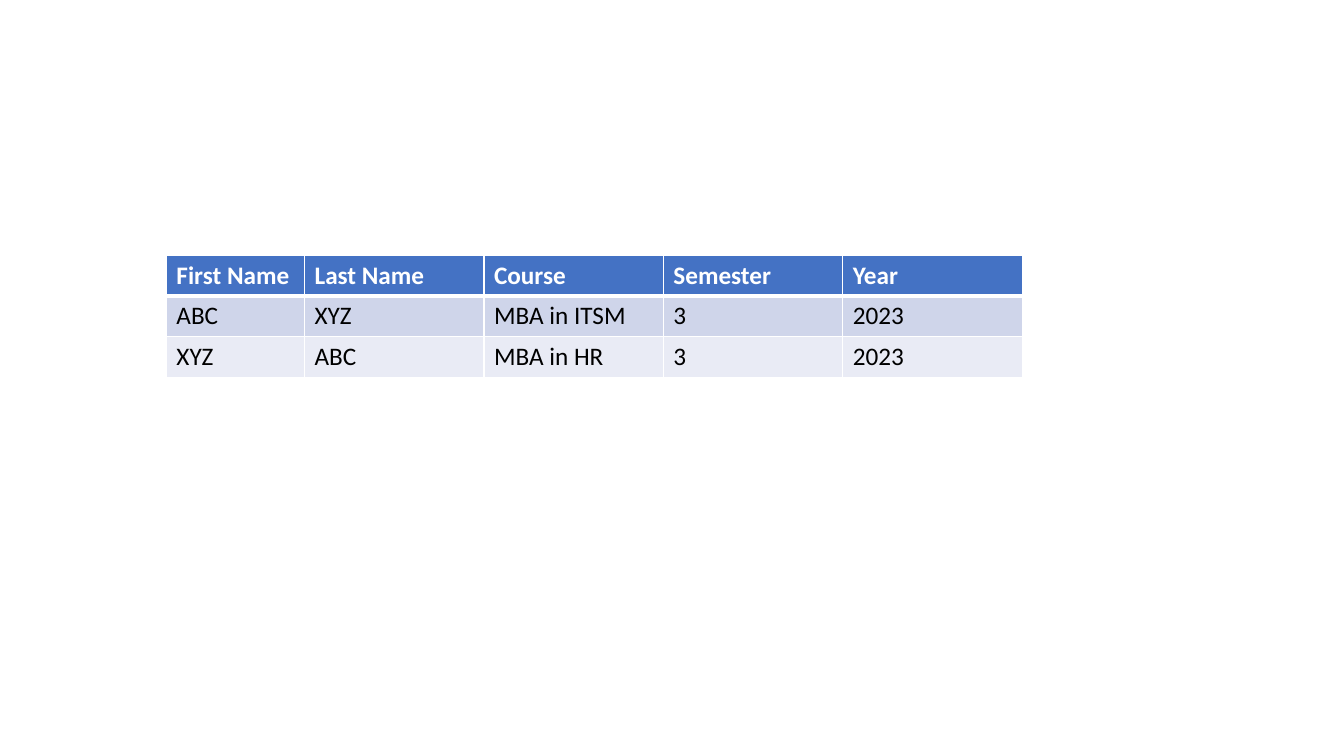
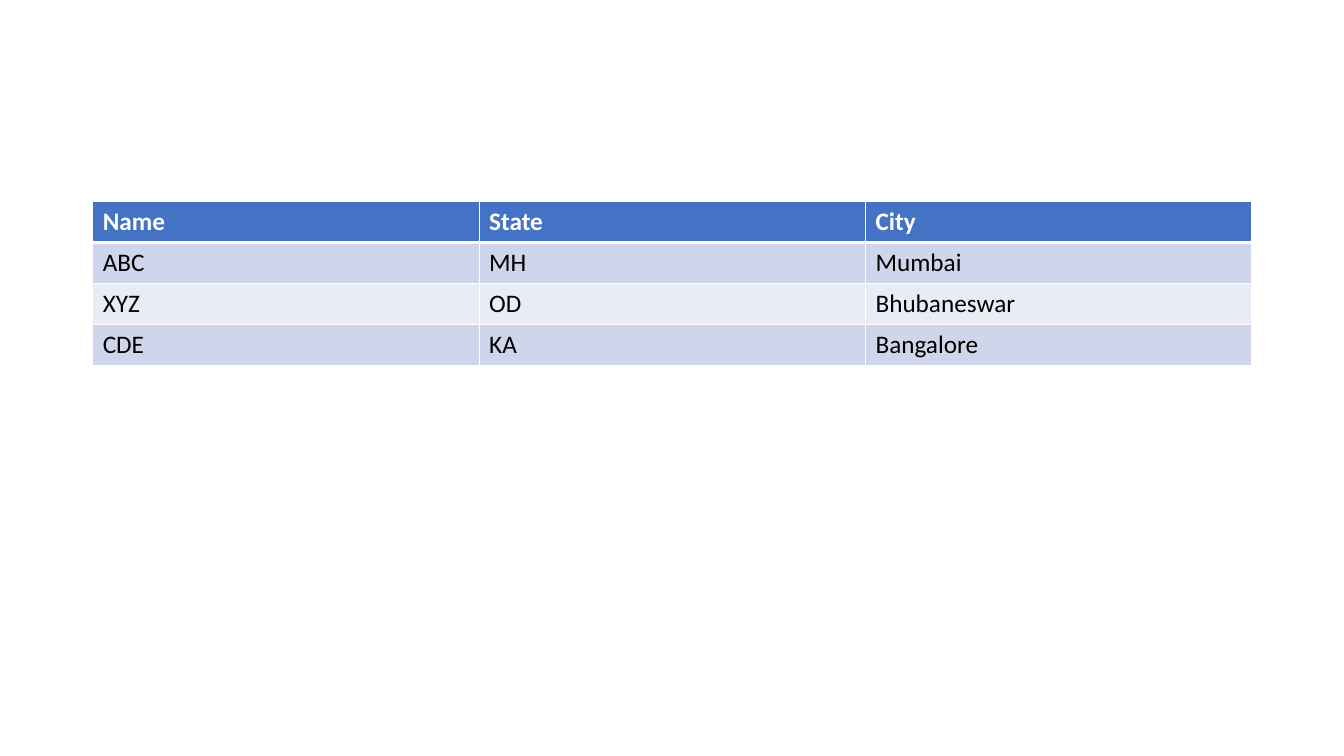
import dataclasses

import pptx
import pptx.dml.color
import pptx.oxml
import pptx.oxml.ns
import pptx.presentation
import pptx.slide
import pptx.table
import pptx.util


@dataclasses.dataclass(frozen=True)
class Theme:
    font: str = "Calibri"
    text_size: int = 18
    header_fill: str = "4472C4"
    band_fills: tuple[str, str] = ("CFD5EA", "E9EBF5")
    header_text: str = "FFFFFF"
    body_text: str = "000000"
    border: str = "FFFFFF"
    border_width: int = 1
    header_rule_width: int = 3
    row_share: float = 5.41


@dataclasses.dataclass(frozen=True)
class TableSlide:
    left_share: float
    top_share: float
    column_shares: tuple[float, ...]
    rows: tuple[tuple[str, ...], ...]


THEME = Theme()
SLIDE_WIDTH = pptx.util.Inches(13.33)
SLIDE_HEIGHT = pptx.util.Inches(7.5)
BLANK_LAYOUT = 6

TABLE_SLIDES = (
    TableSlide(
        left_share=12.38,
        top_share=33.73,
        column_shares=(10.28,) + (13.35,) * 4,
        rows=(
            ("First Name", "Last Name", "Course", "Semester", "Year"),
            ("ABC", "XYZ", "MBA in ITSM", "3", "2023"),
            ("XYZ", "ABC", "MBA in HR", "3", "2023"),
        ),
    ),
    TableSlide(
        left_share=6.9,
        top_share=26.67,
        column_shares=(28.75,) * 3,
        rows=(
            ("Name", "State", "City"),
            ("ABC", "MH", "Mumbai"),
            ("XYZ", "OD", "Bhubaneswar"),
            ("CDE", "KA", "Bangalore"),
        ),
    ),
)


def across(share: float) -> pptx.util.Emu:
    return pptx.util.Emu(round(SLIDE_WIDTH * share / 100))


def down(share: float) -> pptx.util.Emu:
    return pptx.util.Emu(round(SLIDE_HEIGHT * share / 100))


def write_text(cell: pptx.table._Cell, text: str, *, color: str, bold: bool) -> None:
    run = cell.text_frame.paragraphs[0].add_run()
    run.text = text
    run.font.name = THEME.font
    run.font.size = pptx.util.Pt(THEME.text_size)
    run.font.bold = bold
    run.font.color.rgb = pptx.dml.color.RGBColor.from_string(color)


def draw_borders(cell: pptx.table._Cell, row_index: int) -> None:
    widths = dict.fromkeys(("lnL", "lnR", "lnT", "lnB"), THEME.border_width)
    if row_index == 0:
        widths["lnB"] = THEME.header_rule_width
    elif row_index == 1:
        widths["lnT"] = THEME.header_rule_width
    properties = cell._tc.get_or_add_tcPr()
    for side, width in widths.items():
        properties.append(
            pptx.oxml.parse_xml(
                f'<a:{side} {pptx.oxml.ns.nsdecls("a")} w="{pptx.util.Pt(width)}">'
                f'<a:solidFill><a:srgbClr val="{THEME.border}"/></a:solidFill>'
                f"</a:{side}>"
            )
        )


def format_cell(cell: pptx.table._Cell, text: str, row_index: int) -> None:
    is_header = row_index == 0
    fill = THEME.header_fill if is_header else THEME.band_fills[(row_index - 1) % 2]
    color = THEME.header_text if is_header else THEME.body_text
    draw_borders(cell, row_index)
    cell.fill.solid()
    cell.fill.fore_color.rgb = pptx.dml.color.RGBColor.from_string(fill)
    write_text(cell, text, color=color, bold=is_header)


def draw_table(slide: pptx.slide.Slide, content: TableSlide) -> None:
    table = slide.shapes.add_table(
        len(content.rows),
        len(content.column_shares),
        across(content.left_share),
        down(content.top_share),
        across(sum(content.column_shares)),
        down(THEME.row_share * len(content.rows)),
    ).table
    for column, share in zip(table.columns, content.column_shares):
        column.width = across(share)
    for row_index, texts in enumerate(content.rows):
        table.rows[row_index].height = down(THEME.row_share)
        for column_index, text in enumerate(texts):
            format_cell(table.cell(row_index, column_index), text, row_index)


def build_presentation() -> pptx.presentation.Presentation:
    presentation = pptx.Presentation()
    presentation.slide_width = SLIDE_WIDTH
    presentation.slide_height = SLIDE_HEIGHT
    for content in TABLE_SLIDES:
        slide = presentation.slides.add_slide(presentation.slide_layouts[BLANK_LAYOUT])
        draw_table(slide, content)
    return presentation


build_presentation().save("out.pptx")
